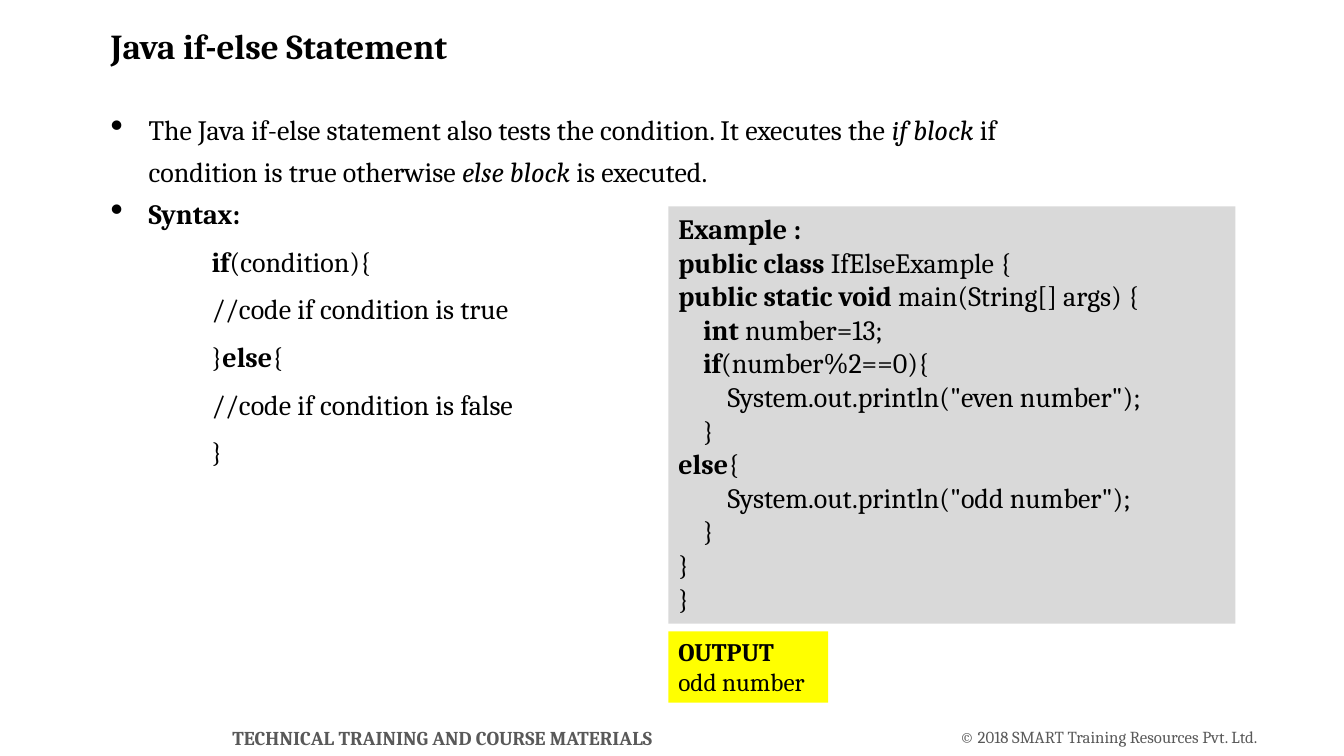
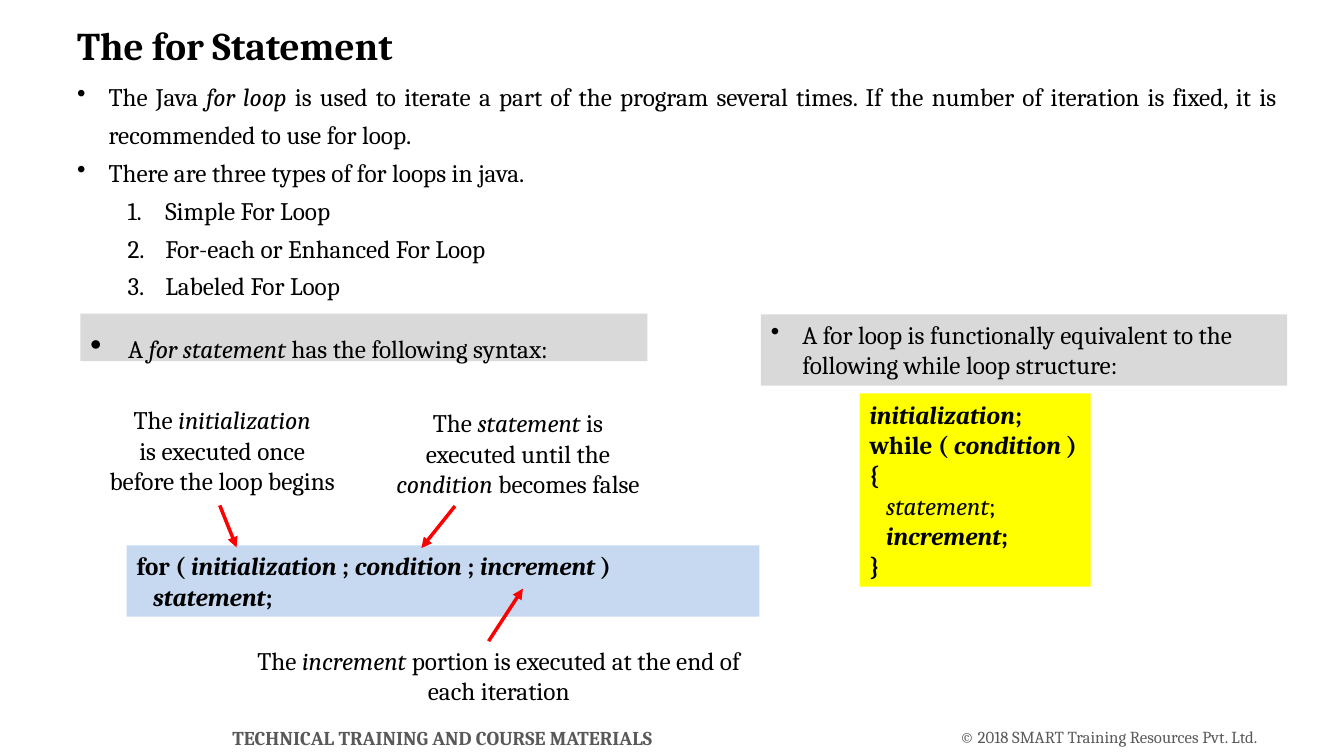
from dataclasses import dataclass

from lxml.etree import SubElement
from pptx import Presentation
from pptx.dml.color import RGBColor
from pptx.enum.shapes import MSO_CONNECTOR, MSO_SHAPE
from pptx.enum.text import MSO_ANCHOR, PP_ALIGN
from pptx.oxml.ns import qn
from pptx.util import Pt

FONT = "Cambria"
BLACK = RGBColor(0x00, 0x00, 0x00)
SLATE = RGBColor(0x59, 0x59, 0x59)
GRAY = RGBColor(0xD9, 0xD9, 0xD9)
YELLOW = RGBColor(0xFF, 0xFF, 0x00)
BLUE = RGBColor(0xC6, 0xD9, 0xF1)
RED = RGBColor(0xFF, 0x00, 0x00)
LEFT, MID, JUST = PP_ALIGN.LEFT, PP_ALIGN.CENTER, PP_ALIGN.JUSTIFY


@dataclass
class Style:
    """Paragraph look: margin, hanging indent, bullet and spacing."""
    align: PP_ALIGN = LEFT
    margin: float = 0
    hang: float = 0
    bullet: str = ""
    scale: int = 100
    lines: float = 1
    before: float = 0


PLAIN = Style()
CENTER = Style(MID)
BIG = Style(margin=27, hang=27, bullet="•", scale=130, lines=1.25)
CODE = Style(margin=72, lines=1.25, before=4)
HEAD = Style(margin=27, hang=27, bullet="•", scale=130, lines=1.5)
SMALL = Style(margin=22.5, hang=22.5, bullet="•")
POINT = Style(JUST, 22.5, 22.5, "•", lines=1.25)
STEP = Style(JUST, 63, 27, "1.", lines=1.25)


def format_para(para, style):
    props = para._p.get_or_add_pPr()
    props.set("marL", str(Pt(style.margin)))
    props.set("indent", str(-Pt(style.hang)))
    if style.bullet:
        SubElement(props, qn("a:buSzPct")).set("val", str(style.scale * 1000))
    if style.bullet == "1.":
        SubElement(props, qn("a:buAutoNum")).set("type", "arabicPeriod")
    elif style.bullet:
        SubElement(props, qn("a:buChar")).set("char", style.bullet)
    para.alignment = style.align
    para.line_spacing = style.lines
    if style.before:
        para.space_before = Pt(style.before)


def add_text(slide, box, paras, size, style=PLAIN, fill=None, color=BLACK,
             anchor=MSO_ANCHOR.TOP, inset=True, wrap=True):
    """Place paragraphs, each a list of (text, flags) runs; flags hold b, i.

    A paragraph may also be a (Style, runs) pair.
    """
    area = [Pt(v) for v in box]
    if fill is None:
        shape = slide.shapes.add_textbox(*area)
    else:
        shape = slide.shapes.add_shape(MSO_SHAPE.RECTANGLE, *area)
        shape.shadow.inherit = False
        shape.fill.solid()
        shape.fill.fore_color.rgb = fill
        shape.line.fill.background()
    frame = shape.text_frame
    frame.word_wrap = wrap
    frame.vertical_anchor = anchor
    if not inset:
        frame.margin_left = frame.margin_right = 0
        frame.margin_top = frame.margin_bottom = 0
    for k, item in enumerate(paras):
        look, runs = item if isinstance(item, tuple) else (style, item)
        para = frame.add_paragraph() if k else frame.paragraphs[0]
        format_para(para, look)
        for text, flags in runs:
            run = para.add_run()
            run.text = text
            font = run.font
            font.name, font.size = FONT, Pt(size)
            font.bold, font.italic = "b" in flags, "i" in flags
            font.color.rgb = color


def add_arrow(slide, x1, y1, x2, y2):
    line = slide.shapes.add_connector(
        MSO_CONNECTOR.STRAIGHT, Pt(x1), Pt(y1), Pt(x2), Pt(y2))
    line.line.color.rgb = RED
    line.line.width = Pt(2.5)
    SubElement(line.line._get_or_add_ln(), qn("a:tailEnd")).set(
        "type", "triangle")
    SubElement(line._element.spPr, qn("a:effectLst"))


def new_slide(deck, title, box, size):
    """Add a blank slide with its title and the shared footer."""
    slide = deck.slides.add_slide(deck.slide_layouts[6])
    add_text(slide, box, [[(title, "b")]], size)
    foot = dict(style=CENTER, color=SLATE, anchor=MSO_ANCHOR.MIDDLE,
                inset=False)
    add_text(slide, (80, 518.5, 472, 17),
             [[("TECHNICAL TRAINING AND COURSE MATERIALS", "b")]], 14, **foot)
    add_text(slide, (677, 518.5, 230, 15),
             [[("© 2018 SMART Training Resources Pvt. Ltd.", "")]], 12, **foot)
    return slide


def add_sample(slide, x, y, w, h):
    """Code sample with its output below."""
    gap = 5.5
    add_text(slide, (x, y, w, h), [
        [("Example :", "b")],
        [("public class ", "b"), ("IfElseExample {", "")],
        [("public static void", "b"), (" main(String[] args) {", "")],
        [("    ", ""), ("int", "b"), (" number=13;", "")],
        [("    ", ""), ("if", "b"), ("(number%2==0){", "")],
        [('        System.out.println("even number");', "")],
        [("    }", "")],
        [("else", "b"), ("{", "")],
        [('        System.out.println("odd number");', "")],
        [("    }", "")],
        [("}", "")],
        [("}", "")],
    ], 20, fill=GRAY)
    add_text(slide, (x, y + h + gap, 114, 51),
             [[("OUTPUT", "b")], [("odd number", "")]], 18, fill=YELLOW)


def if_slide(deck):
    slide = new_slide(deck, "Java if-else Statement", (72, 14, 648, 42), 25)
    add_text(slide, (72, 71, 666, 450), [
        (BIG, [("The Java if-else statement also tests the condition. "
                "It executes the ", ""), ("if block", "i"),
               (" if condition is true otherwise ", ""),
               ("else block", "i"), (" is executed.", "")]),
        (BIG, [("Syntax:", "b")]),
        [("if", "b"), ("(condition){", "")],
        [("//code if condition is true", "")],
        [("}", ""), ("else", "b"), ("{", "")],
        [("//code if condition is false", "")],
        [("}", "")],
    ], 20, CODE)
    add_sample(slide, 477.5, 147.5, 405, 298)


def add_syntax(slide, x, y, w):
    """Heading, for statement and the captions that point at its parts."""
    add_text(slide, (x, y, w, 34),
             [[("A ", ""), ("for statement", "i"),
               (" has the following syntax:", "")]], 18, HEAD, GRAY)
    add_text(slide, (x + 33, y + 165.5, w + 47, 51), [
        [("for ( ", "b"), ("initialization", "bi"), (" ; ", "b"),
         ("condition", "bi"), (" ; ", "b"), ("increment", "bi"),
         (" )", "b")],
        [("   ", "b"), ("statement", "bi"), (";", "b")],
    ], 18, fill=BLUE, anchor=MSO_ANCHOR.MIDDLE)
    notes = [
        ((8, 61, 186.5, 73), (99.5, 137, 111.5, 167),
         [[("The ", ""), ("initialization", "i")],
          [("is executed once", "")],
          [("before the loop begins", "")]]),
        ((214, 63, 197, 73), (267.5, 137.5, 243.5, 167.5),
         [[("The ", ""), ("statement", "i"), (" is", "")],
          [("executed until the", "")],
          [("condition", "i"), (" becomes false", "")]]),
        ((118, 233, 361.5, 51), (291.5, 234, 316, 196.5),
         [[("The ", ""), ("increment", "i"),
           (" portion is executed at the end of each iteration", "")]]),
    ]
    for (dx, dy, wide, high), (x1, y1, x2, y2), paras in notes:
        add_text(slide, (x + dx, y + dy, wide, high), paras, 18, CENTER,
                 anchor=MSO_ANCHOR.MIDDLE)
        add_arrow(slide, x + x1, y + y1, x + x2, y + y2)


def add_while(slide, x, y, w):
    """Heading and the equivalent while loop."""
    add_text(slide, (x, y, w, 51),
             [[("A for loop is functionally equivalent to the following "
                "while loop structure:", "")]], 18, SMALL, GRAY)
    add_text(slide, (x + 70.5, y + 56.5, 165, 138), [
        [("initialization", "bi"), (";", "b")],
        [("while ( ", "b"), ("condition", "bi"), (" )", "b")],
        [("{", "b")],
        [("   ", ""), ("statement", "i"), (";", "")],
        [("   ", "b"), ("increment", "bi"), (";", "b")],
        [("}", "b")],
    ], 18, fill=YELLOW, anchor=MSO_ANCHOR.MIDDLE, wrap=False)


def for_slide(deck):
    slide = new_slide(deck, "The for Statement", (48, 12, 624, 54), 28)
    add_syntax(slide, 57.5, 224, 405)
    add_while(slide, 543.5, 224.5, 376)
    kinds = ["Simple For Loop", "For-each or Enhanced For Loop",
             "Labeled For Loop"]
    add_text(slide, (48, 49.5, 871, 171), [
        [("The Java ", ""), ("for loop", "i"),
         (" is used to iterate a part of the program several times. "
          "If the number of iteration is fixed, it is recommended to use "
          "for loop.", "")],
        [("There are three types of for loops in java.", "")],
        *[(STEP, [(kind, "")]) for kind in kinds],
    ], 18, POINT)


def main():
    deck = Presentation()
    deck.slide_width, deck.slide_height = Pt(960), Pt(540)
    if_slide(deck)
    for_slide(deck)
    deck.save("out.pptx")


if __name__ == "__main__":
    main()
